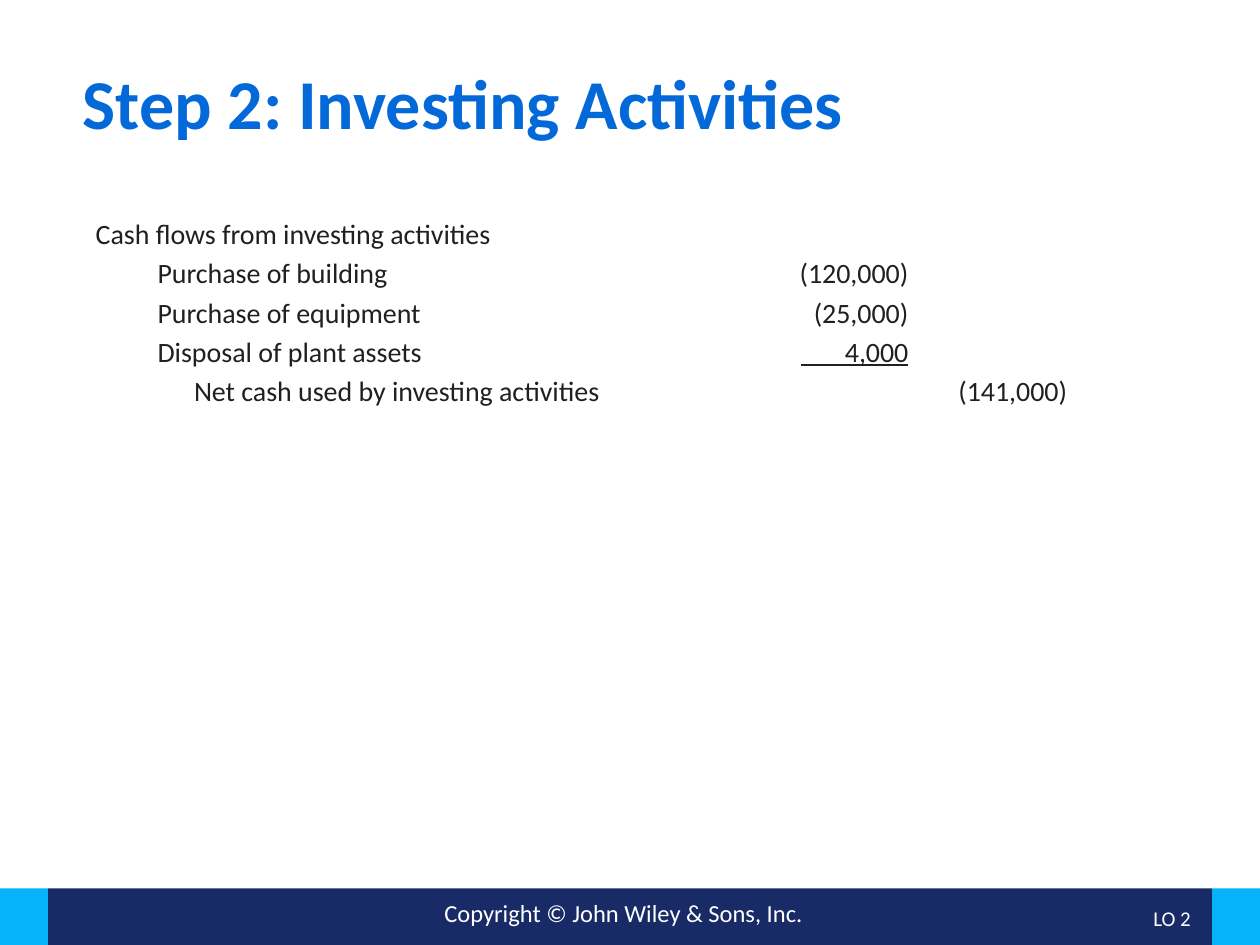
from dataclasses import dataclass

from lxml import etree
from pptx import Presentation
from pptx import util as u
from pptx.dml.color import RGBColor
from pptx.enum import shapes, text
from pptx.oxml.ns import qn

W, H = 10, 7.5


@dataclass(frozen=True)
class Theme:
    font: str = "Calibri"
    title: str = "0469D8"
    ink: str = "231F20"
    navy: str = "192B67"
    sky: str = "06B2FA"
    white: str = "FFFFFF"
    title_pt: int = 40
    table_pt: int = 16
    footer_pt: int = 14
    tag_pt: int = 12


T = Theme()
LEFT, CENTER, RIGHT = text.PP_ALIGN.LEFT, text.PP_ALIGN.CENTER, text.PP_ALIGN.RIGHT

# label, amount, total, indent
ROWS = [
    ("Cash flows from investing activities", "", "", 0),
    ("Purchase of building", "(120,000)", "", 0.49),
    ("Purchase of equipment", "(25,000)", "", 0.49),
    ("Disposal of plant assets", "4,000", "", 0.49),
    ("Net cash used by investing activities", "", "(141,000)", 0.78),
]


def inches(*lengths):
    return [u.Inches(n) for n in lengths]


def write(tf, words, size, color, bold=False, align=LEFT, spacing=None, indent=0):
    p = tf.paragraphs[0]
    p.alignment = align
    if spacing:
        p.line_spacing = spacing
    if indent:
        pPr = p._p.get_or_add_pPr()
        pPr.set("marL", str(u.Inches(indent)))
        pPr.set("indent", "0")
    if not words:
        # keeps an empty cell from growing its row
        etree.SubElement(p._p, qn("a:endParaRPr")).set("sz", str(size * 100))
        return
    r = p.add_run()
    r.text = words
    r.font.name, r.font.size, r.font.bold = T.font, u.Pt(size), bold
    r.font.color.rgb = RGBColor.from_string(color)


def add_text(s, box, words, size, color, anchor=text.MSO_ANCHOR.TOP, **fmt):
    tf = s.shapes.add_textbox(*inches(*box)).text_frame
    tf.word_wrap = True
    tf.vertical_anchor = anchor
    write(tf, words, size, color, **fmt)


def add_bar(s, box, color):
    sp = s.shapes.add_shape(shapes.MSO_SHAPE.RECTANGLE, *inches(*box))
    sp.shadow.inherit = False
    sp.fill.solid()
    sp.fill.fore_color.rgb = RGBColor.from_string(color)
    sp.line.fill.background()


def add_footer(s, left, top, width, height):
    end = 0.38
    add_bar(s, (left + end, top, width - 2 * end, height), T.navy)
    for x in (left, left + width - end):
        add_bar(s, (x, top, end, height), T.sky)
    add_text(s, (left + 0.25 * width, top + 0.03, 0.49 * width, 0.34),
             "Copyright © John Wiley & Sons, Inc.", T.footer_pt, T.white, align=CENTER)
    add_text(s, (left + 8.73, top + 0.05, 0.82, 0.4), "LO 2", T.tag_pt, T.white,
             anchor=text.MSO_ANCHOR.MIDDLE, align=RIGHT, spacing=0.9)


def add_sum_rule(s, right, y, width):
    line = s.shapes.add_connector(shapes.MSO_CONNECTOR.STRAIGHT,
                                  *inches(right - width, y, right, y))
    line.line.color.rgb = RGBColor.from_string(T.ink)
    line.line.width = u.Pt(1.5)
    etree.SubElement(line._element.spPr, qn("a:effectLst"))


def add_cash_flows(s, left, top, width, height):
    columns = (5.12, 1.41, width - 5.12 - 1.41)
    row_height = height / len(ROWS)
    pad_x, pad_y = 0.04, 0.02
    table = s.shapes.add_table(len(ROWS), len(columns),
                               *inches(left, top, width, height)).table
    table.first_row = table.horz_banding = False
    for column, w in zip(table.columns, columns):
        column.width = u.Inches(w)
    for row, (*values, indent) in zip(table.rows, ROWS):
        row.height = u.Inches(row_height)
        for i, (cell, words) in enumerate(zip(row.cells, values)):
            cell.fill.background()
            cell.margin_left = cell.margin_right = u.Inches(pad_x)
            cell.margin_top = cell.margin_bottom = u.Inches(pad_y)
            write(cell.text_frame, words, T.table_pt, T.ink,
                  align=RIGHT if i else LEFT, indent=0 if i else indent)
    add_sum_rule(s, left + sum(columns[:2]) - pad_x, top + 4 * row_height - 0.06, 0.85)


def main():
    prs = Presentation()
    prs.slide_width, prs.slide_height = inches(W, H)
    s = prs.slides.add_slide(prs.slide_layouts[6])
    add_footer(s, 0, 0.94 * H, W, 0.06 * H)
    add_text(s, (0.56, 0.5, 8.88, 0.93), "Step 2: Investing Activities",
             T.title_pt, T.title, bold=True, spacing=0.9)
    add_cash_flows(s, 0.72, 1.71, 7.79, 1.56)
    prs.save("out.pptx")


if __name__ == "__main__":
    main()
